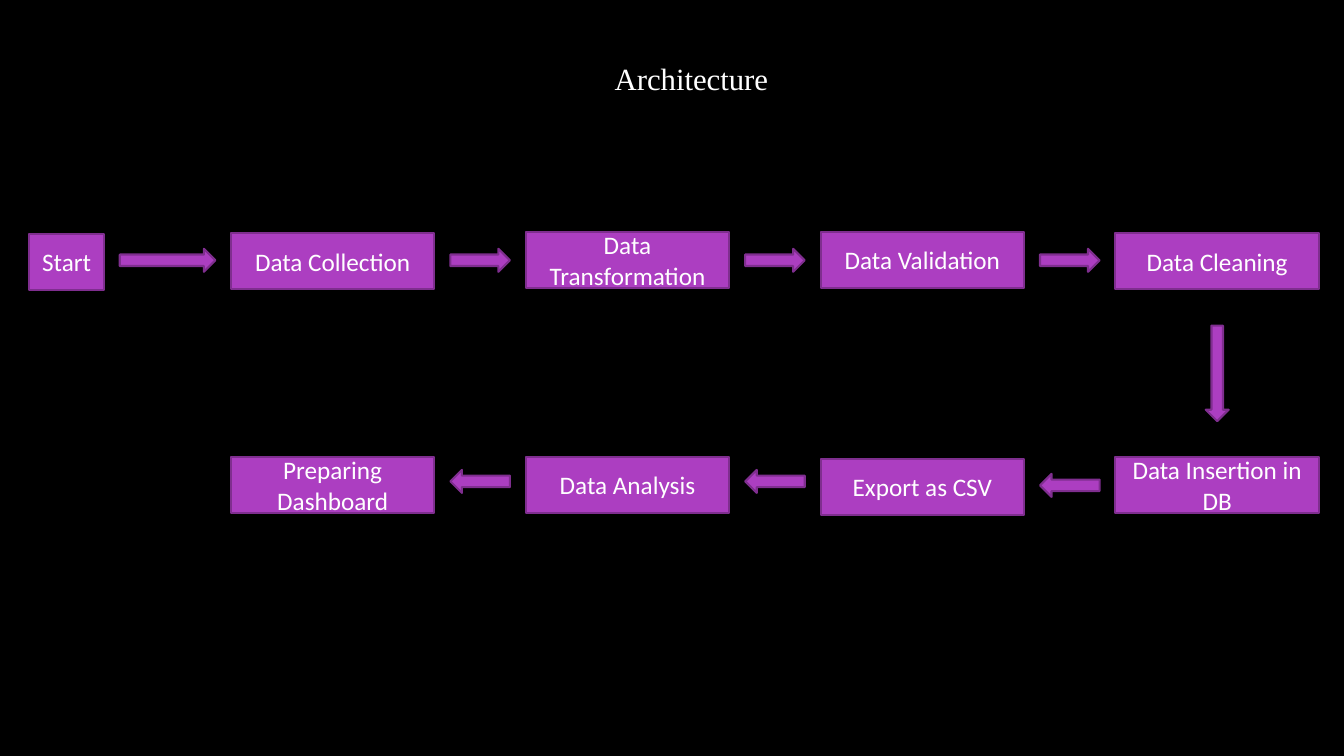
import pptx
import pptx.util
import pptx.dml.color
import pptx.enum.shapes
import pptx.enum.text

Cm = pptx.util.Cm
Pt = pptx.util.Pt
RGBColor = pptx.dml.color.RGBColor
SHAPES = pptx.enum.shapes.MSO_SHAPE
ANCHOR = pptx.enum.text.MSO_ANCHOR
ALIGN = pptx.enum.text.PP_ALIGN

BLACK = RGBColor(0x00, 0x00, 0x00)
WHITE = RGBColor(0xFF, 0xFF, 0xFF)
PURPLE = RGBColor(0xAC, 0x3E, 0xC1)
DARK_PURPLE = RGBColor(0x7F, 0x2E, 0x8F)

FIRST_COLUMN = 5.82
COLUMN_STEP = 7.43
STEP_WIDTH = 5.13
STEP_HEIGHT = 1.42
ARROW_OFFSET = 5.53
SHORT_ARROW = 1.5
LONG_ARROW = 2.41
ARROW_HEIGHT = 0.58

UPPER_STEPS = [
    ("Data Collection", 5.87),
    ("Data Transformation", 5.84),
    ("Data Validation", 5.84),
    ("Data Cleaning", 5.87),
]
LOWER_STEPS = [
    ("Preparing Dashboard", 11.51),
    ("Data Analysis", 11.51),
    ("Export as CSV", 11.56),
    ("Data Insertion in DB", 11.51),
]
UPPER_ARROW_TOP = 6.27
LOWER_ARROW_TOPS = [11.84, 11.84, 11.94]


def column_left(column):
    return FIRST_COLUMN + column * COLUMN_STEP


def add_span(para, text, font, size):
    span = para.add_run()
    span.text = text
    span.font.name = font
    span.font.size = Pt(size)
    span.font.color.rgb = WHITE


def add_title(page, text):
    box = page.shapes.add_textbox(Cm(5.08), Cm(0.53), Cm(23.7), Cm(4.65))
    frame = box.text_frame
    frame.word_wrap = True
    frame.vertical_anchor = ANCHOR.TOP
    frame.margin_left = Cm(10.41)
    frame.margin_top = Cm(0.98)
    add_span(frame.paragraphs[0], text, "Times New Roman", 22)


def add_purple_shape(page, kind, left, top, width, height):
    shape = page.shapes.add_shape(kind, Cm(left), Cm(top), Cm(width), Cm(height))
    shape.shadow.inherit = False
    shape.fill.solid()
    shape.fill.fore_color.rgb = PURPLE
    shape.line.color.rgb = DARK_PURPLE
    shape.line.width = Pt(1.5)
    return shape


def add_step(page, text, left, top, width=STEP_WIDTH):
    box = add_purple_shape(page, SHAPES.RECTANGLE, left, top, width, STEP_HEIGHT)
    frame = box.text_frame
    frame.word_wrap = True
    frame.vertical_anchor = ANCHOR.MIDDLE
    para = frame.paragraphs[0]
    para.alignment = ALIGN.CENTER
    add_span(para, text, "Calibri", 18)


def add_arrow(page, left, top, width=SHORT_ARROW, rotation=0):
    arrow = add_purple_shape(page, SHAPES.RIGHT_ARROW, left, top, width, ARROW_HEIGHT)
    arrow.rotation = rotation


def main():
    deck = pptx.Presentation()
    deck.slide_width = Cm(33.87)
    deck.slide_height = Cm(19.05)
    page = deck.slides.add_slide(deck.slide_layouts[6])
    page.background.fill.solid()
    page.background.fill.fore_color.rgb = BLACK

    add_title(page, "Architecture")
    add_step(page, "Start", 0.74, 5.89, 1.88)
    for steps in (UPPER_STEPS, LOWER_STEPS):
        for column, (text, top) in enumerate(steps):
            add_step(page, text, column_left(column), top)

    add_arrow(page, 3.02, UPPER_ARROW_TOP, LONG_ARROW)
    for column, lower_top in enumerate(LOWER_ARROW_TOPS):
        left = column_left(column) + ARROW_OFFSET
        add_arrow(page, left, UPPER_ARROW_TOP)
        add_arrow(page, left, lower_top, rotation=180)
    down_left = column_left(3) + (STEP_WIDTH - LONG_ARROW) / 2
    add_arrow(page, down_left, 9.12, LONG_ARROW, rotation=90)

    deck.save("out.pptx")


if __name__ == "__main__":
    main()
